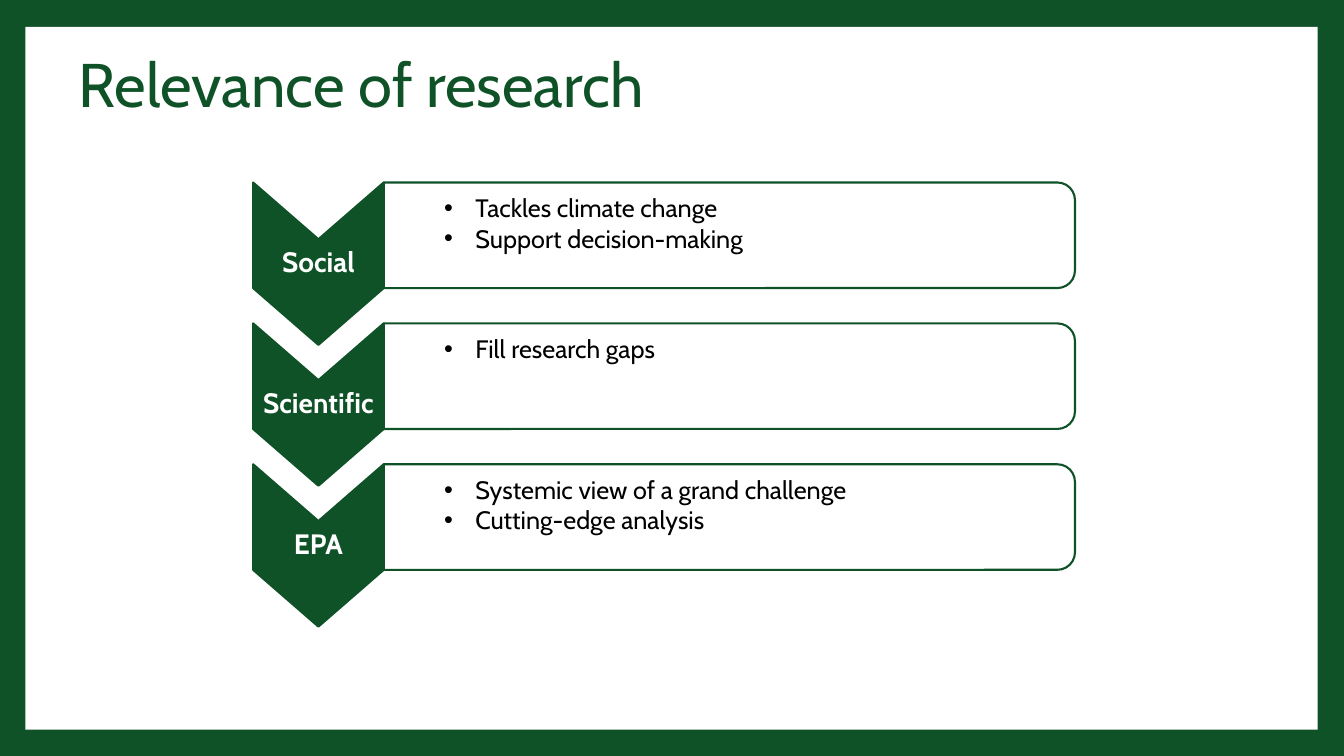
"""Build the slide on the relevance of the research."""
from lxml import etree
from pptx import Presentation
from pptx import util as u
from pptx.dml.color import RGBColor
from pptx.enum import shapes, text
from pptx.oxml import ns

TITLE = "Relevance of research"
RELEVANCE = [
    ("Social", ["Tackles climate change", "Support decision-making"]),
    ("Scientific", ["Fill research gaps"]),
    ("EPA", ["Systemic view of a grand challenge", "Cutting-edge analysis"]),
]

GREEN = RGBColor(0x10, 0x52, 0x27)
WHITE = RGBColor(0xFF, 0xFF, 0xFF)
BLACK = RGBColor(0, 0, 0)
FONT = "Cabin"

LEFT, TOP, PITCH = 6.38, 4.6, 3.55
CHEVRON_WIDTH, NOTCH = 3.29, 1.43
BAR_WIDTH, BAR_HEIGHT = 17.42, 2.66
BULLET_MARGIN, BULLET_INDENT = 2.06, -0.79


def write(shape, lines, size, color, bold=False, align=text.PP_ALIGN.LEFT,
          anchor=text.MSO_ANCHOR.MIDDLE, spacing=None, bullet=False):
    """Fill a shape with one formatted paragraph per line."""
    frame = shape.text_frame
    frame.word_wrap = True
    frame.auto_size = text.MSO_AUTO_SIZE.NONE
    frame.vertical_anchor = anchor
    for index, line in enumerate(lines):
        paragraph = frame.add_paragraph() if index else frame.paragraphs[0]
        paragraph.alignment = align
        paragraph.line_spacing = spacing
        if bullet:
            paragraph.level = 1
            properties = paragraph._p.get_or_add_pPr()
            properties.set("marL", str(u.Cm(BULLET_MARGIN)))
            properties.set("indent", str(u.Cm(BULLET_INDENT)))
            etree.SubElement(properties, ns.qn("a:buFont"), typeface="Arial")
            etree.SubElement(properties, ns.qn("a:buChar"), char="•")
        run = paragraph.add_run()
        run.text = line
        run.font.name, run.font.size, run.font.bold = FONT, u.Pt(size), bold
        run.font.color.rgb = color


def paint(shape, fill, line=None):
    """Set a shape's fill and outline and remove its shadow."""
    shape.shadow.inherit = False
    shape.fill.solid()
    shape.fill.fore_color.rgb = fill
    if line is None:
        shape.line.fill.background()
    else:
        shape.line.color.rgb = line
        shape.line.width = u.Pt(1.5)


def add_chevron(slide, top, label):
    """Draw a downward chevron with its label."""
    right, middle = LEFT + CHEVRON_WIDTH, LEFT + CHEVRON_WIDTH / 2
    bottom = top + BAR_HEIGHT
    outline = [(right, top), (right, bottom), (middle, bottom + NOTCH),
               (LEFT, bottom), (LEFT, top), (middle, top + NOTCH)]
    points = [(u.Cm(x), u.Cm(y)) for x, y in outline]
    builder = slide.shapes.build_freeform(*points[0])
    builder.add_line_segments(points[1:], close=True)
    chevron = builder.convert_to_shape()
    paint(chevron, GREEN, GREEN)
    frame = chevron.text_frame
    frame.margin_left = frame.margin_right = u.Cm(0.03)
    frame.margin_top = frame.margin_bottom = u.Cm(1.47)
    write(chevron, [label], 20, WHITE, bold=True,
          align=text.PP_ALIGN.CENTER, spacing=0.9)


def add_bar(slide, top, points):
    """Draw a bar rounded at its right end, with bullet points."""
    offset = (BAR_WIDTH - BAR_HEIGHT) / 2
    bar = slide.shapes.add_shape(
        shapes.MSO_SHAPE.ROUND_2_SAME_RECTANGLE,
        u.Cm(LEFT + CHEVRON_WIDTH + offset), u.Cm(top - offset),
        u.Cm(BAR_HEIGHT), u.Cm(BAR_WIDTH))
    bar.rotation = 90
    paint(bar, WHITE, GREEN)
    color = bar.fill._xPr.find(ns.qn("a:solidFill"))[0]
    etree.SubElement(color, ns.qn("a:alpha"), val="90000")
    bar.text_frame._txBody.bodyPr.set("vert", "vert270")
    write(bar, points, 18, BLACK, anchor=text.MSO_ANCHOR.TOP, bullet=True)


def main():
    """Build and save the presentation."""
    presentation = Presentation()
    presentation.slide_width, presentation.slide_height = u.Cm(33.87), u.Cm(19.05)
    slide = presentation.slides.add_slide(presentation.slide_layouts[5])
    slide.background.fill.solid()
    slide.background.fill.fore_color.rgb = GREEN

    panel = slide.shapes.add_shape(shapes.MSO_SHAPE.RECTANGLE, u.Cm(0.64),
                                   u.Cm(0.68), u.Cm(32.57), u.Cm(17.71))
    paint(panel, WHITE)

    for row, (label, points) in enumerate(RELEVANCE):
        top = TOP + row * PITCH
        add_chevron(slide, top, label)
        add_bar(slide, top, points)

    title = slide.shapes.title
    title.left, title.top = u.Cm(1.73), u.Cm(1.09)
    title.width, title.height = u.Cm(27.43), u.Cm(2.24)
    write(title, [TITLE], 44, GREEN, spacing=0.9)
    slide.shapes.element.append(title.element)

    presentation.save("out.pptx")


if __name__ == "__main__":
    main()
